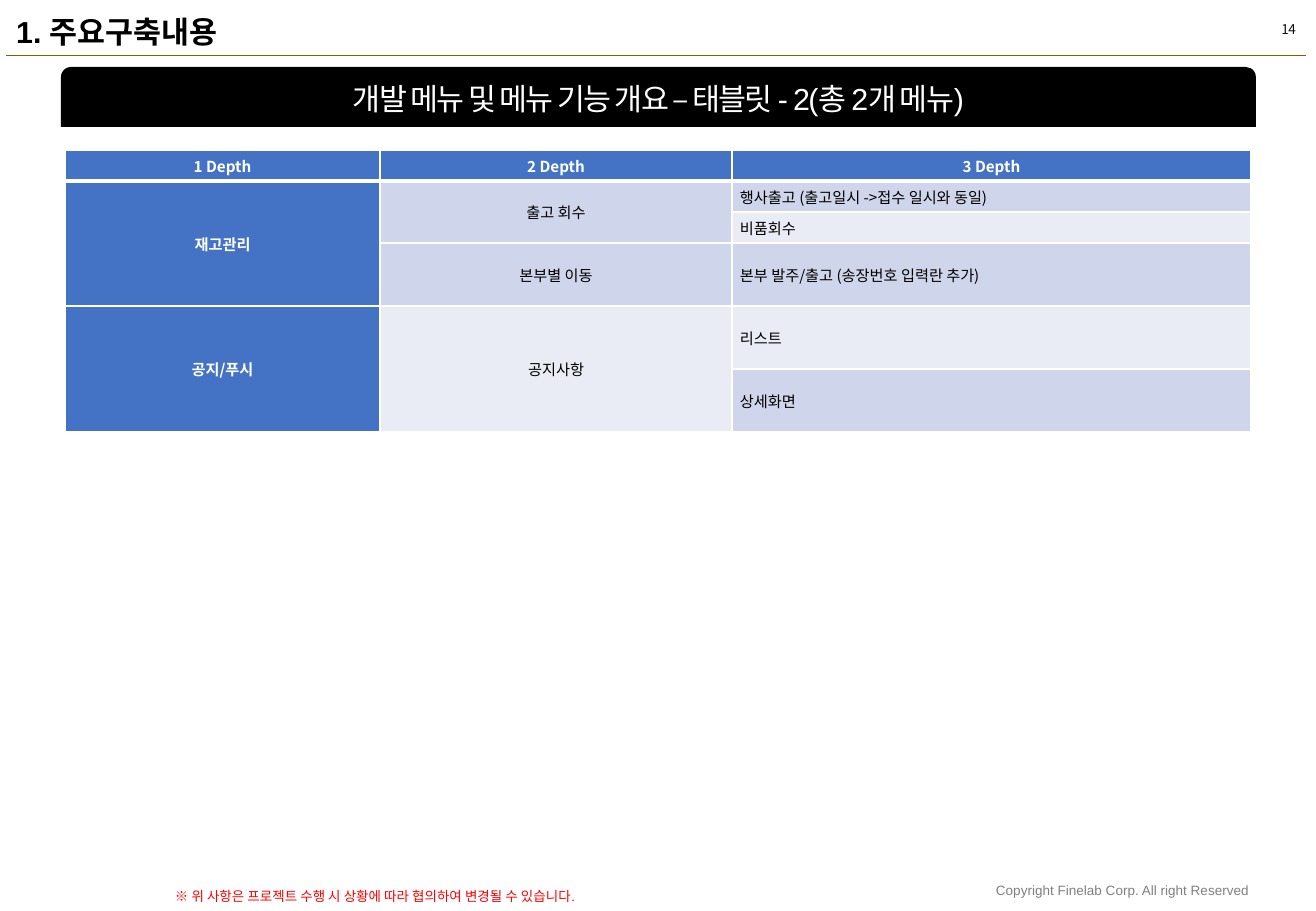
"""Build the tablet menu overview slide with its three-level menu table."""
from lxml.etree import SubElement
from pptx import Presentation
from pptx.dml.color import RGBColor
from pptx.enum.shapes import MSO_CONNECTOR, MSO_SHAPE
from pptx.enum.text import MSO_ANCHOR, MSO_AUTO_SIZE, PP_ALIGN
from pptx.oxml import parse_xml
from pptx.oxml.ns import nsdecls, qn
from pptx.util import Pt

PX = 7526
BLACK = RGBColor(0x00, 0x00, 0x00)
WHITE = RGBColor(0xFF, 0xFF, 0xFF)
NEAR_BLACK = RGBColor(0x0D, 0x0D, 0x0D)
GRAY = RGBColor(0x80, 0x80, 0x80)
RED = RGBColor(0xFF, 0x00, 0x00)
OLIVE = RGBColor(0x80, 0x60, 0x00)
BLUE = RGBColor(0x44, 0x72, 0xC4)
BAND_DARK = RGBColor(0xCF, 0xD5, 0xEA)
BAND_LIGHT = RGBColor(0xE9, 0xEB, 0xF5)
KOREAN = "Noto Sans CJK KR"


def write(frame, text, size, color, align=PP_ALIGN.LEFT, font="Arial", bold=False, spacing=0):
    paragraph = frame.paragraphs[0]
    paragraph.alignment = align
    run = paragraph.add_run()
    run.text = text
    run.font.size = Pt(size)
    run.font.name = font
    run.font.bold = bold
    run.font.color.rgb = color
    if spacing:
        run._r.get_or_add_rPr().set("spc", str(spacing))


def add_borders(cell, widths):
    properties = cell._tc.get_or_add_tcPr()
    for index, (side, width) in enumerate(widths.items()):
        border = parse_xml(
            f'<a:{side} {nsdecls("a")} w="{Pt(width)}"><a:solidFill>'
            f'<a:srgbClr val="{WHITE}"/></a:solidFill></a:{side}>'
        )
        properties.insert(index, border)


presentation = Presentation()
presentation.slide_width = 1316 * PX
presentation.slide_height = 911 * PX
slide = presentation.slides.add_slide(presentation.slide_layouts[5])

rule = slide.shapes.add_connector(MSO_CONNECTOR.STRAIGHT, 6 * PX, 55 * PX, 1306 * PX, 55 * PX)
rule.line.color.rgb = OLIVE
rule.line.width = Pt(0.5)
SubElement(rule._element.spPr, qn("a:effectLst"))

title = slide.shapes.title
title.left, title.top, title.width, title.height = 4 * PX, 7 * PX, 588 * PX, 49 * PX
title.text_frame.auto_size = MSO_AUTO_SIZE.NONE
title.text_frame.vertical_anchor = MSO_ANCHOR.TOP
write(title.text_frame, "1. 주요구축내용", 18, BLACK, bold=True)

banner = slide.shapes.add_shape(
    MSO_SHAPE.ROUND_2_SAME_RECTANGLE, 61 * PX, 67 * PX, 1195 * PX, 60 * PX
)
banner.shadow.inherit = False
banner.fill.solid()
banner.fill.fore_color.rgb = BLACK
banner.line.fill.background()
banner.text_frame.vertical_anchor = MSO_ANCHOR.MIDDLE
write(banner.text_frame, "개발 메뉴 및 메뉴 기능 개요 – 태블릿 - 2(총 2개 메뉴)", 18, WHITE,
      PP_ALIGN.CENTER, spacing=-100)

small_texts = [
    ("14", (1080, 15, 228, 29), NEAR_BLACK, PP_ALIGN.RIGHT, KOREAN, True, -30),
    ("Copyright Finelab Corp. All right Reserved", (984, 876, 288, 29), GRAY,
     PP_ALIGN.LEFT, "Arial", False, 0),
    ("※ 위 사항은 프로젝트 수행 시 상황에 따라 협의하여 변경될 수 있습니다.", (163, 882, 1158, 29), RED,
     PP_ALIGN.LEFT, "Arial", True, 0),
]
for text, box, color, align, font, wrap, spacing in small_texts:
    text_box = slide.shapes.add_textbox(*(length * PX for length in box))
    text_box.text_frame.word_wrap = wrap
    write(text_box.text_frame, text, 8, color, align, font, spacing=spacing)

menu = [
    ("1 Depth", "2 Depth", "3 Depth"),
    ("재고관리", "출고 회수", "행사출고 (출고일시 ->접수 일시와 동일)"),
    ("", "", "비품회수"),
    ("", "본부별 이동", "본부 발주/출고 (송장번호 입력란 추가)"),
    ("공지/푸시", "공지사항", "리스트"),
    ("", "", "상세화면"),
]
column_widths = [315, 352, 519]
row_heights = [31, 31, 31, 63, 63, 63]
merges = [(1, 3, 0), (1, 2, 1), (4, 5, 0), (4, 5, 1)]

table = slide.shapes.add_table(
    len(menu), len(column_widths), 65 * PX, 150 * PX,
    sum(column_widths) * PX, sum(row_heights) * PX,
).table
table.horz_banding = False
for column, width in zip(table.columns, column_widths):
    column.width = width * PX
for row, height in zip(table.rows, row_heights):
    row.height = height * PX
for first, last, column in merges:
    table.cell(first, column).merge(table.cell(last, column))

for r, labels in enumerate(menu):
    for c, label in enumerate(labels):
        cell = table.cell(r, c)
        is_header = r == 0 or c == 0
        cell.vertical_anchor = MSO_ANCHOR.MIDDLE
        cell.margin_left = cell.margin_right = 8 * PX
        cell.margin_top = cell.margin_bottom = 0
        cell.fill.solid()
        cell.fill.fore_color.rgb = BLUE if is_header else BAND_DARK if r % 2 else BAND_LIGHT
        add_borders(cell, {"lnL": 1, "lnR": 1, "lnT": 3 if r == 1 else 1, "lnB": 3 if r == 0 else 1})
        if label:
            align = PP_ALIGN.LEFT if c == 2 and r else PP_ALIGN.CENTER
            write(cell.text_frame, label, 9, WHITE if is_header else BLACK, align, KOREAN, is_header)

presentation.save("out.pptx")
